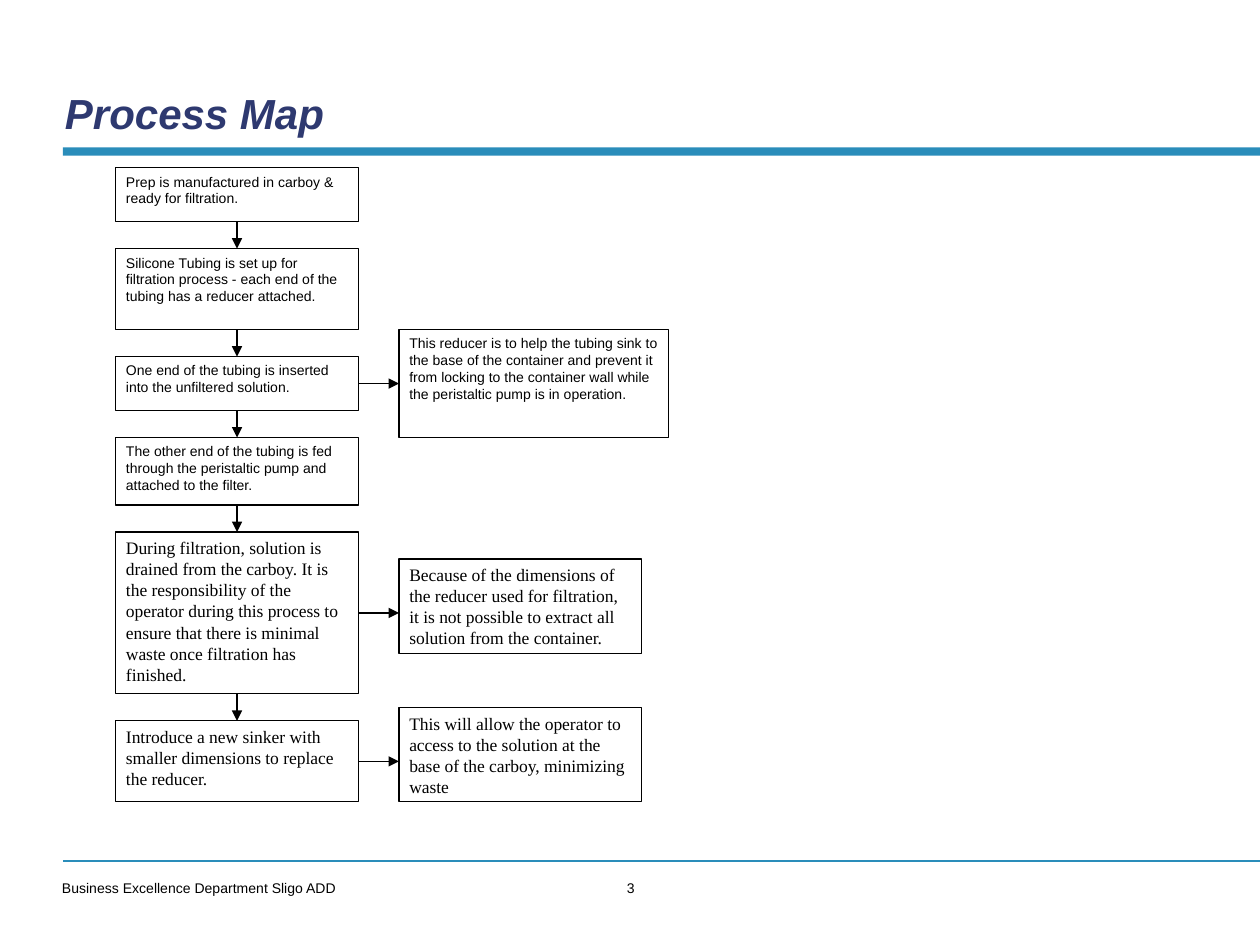
from lxml import etree
from pptx import Presentation
from pptx import util as u
from pptx.dml.color import RGBColor
from pptx.enum import shapes, text
from pptx.oxml.ns import qn

BLUE, NAVY, BLACK, WHITE = "2A8DBA", "2E3970", "000000", "FFFFFF"
UNIT = 0.272  # grid step of the flow chart, in cm
LEFT, TOP = 2.33, 3.38
STEP_WIDTH, STEP_GAP, SIDE_GAP = 18, 2, 3  # in grid steps


def write(shape, words, font, size, color=BLACK, inset=(0, 0)):
    """Put one run of text in a shape; inset is (horizontal, vertical) in cm."""
    frame = shape.text_frame
    frame.word_wrap = True
    frame.vertical_anchor = text.MSO_ANCHOR.TOP
    frame.margin_left = frame.margin_right = u.Cm(inset[0])
    frame.margin_top = frame.margin_bottom = u.Cm(inset[1])
    para = frame.paragraphs[0]
    para.alignment = text.PP_ALIGN.LEFT
    span = para.add_run()
    span.text = words
    span.font.name = font
    span.font.size = u.Pt(size)
    span.font.color.rgb = RGBColor.from_string(color)
    return para


def connect(x1, y1, x2, y2, color, width, arrow=True):
    line = page.shapes.add_connector(
        shapes.MSO_CONNECTOR.STRAIGHT, u.Cm(x1), u.Cm(y1), u.Cm(x2), u.Cm(y2))
    line.line.color.rgb = RGBColor.from_string(color)
    line.line.width = u.Pt(width)
    if arrow:
        etree.SubElement(line.line._get_or_add_ln(), qn("a:tailEnd"), type="triangle")
    etree.SubElement(line._element.spPr, qn("a:effectLst"))
    return line


deck = Presentation()
deck.slide_width, deck.slide_height = u.Cm(25.4), u.Cm(19.05)
page = deck.slides.add_slide(deck.slide_layouts[6])

# Title, rules and footer
bar = page.shapes.add_shape(
    shapes.MSO_SHAPE.RECTANGLE, u.Cm(1.27), u.Cm(2.97), u.Cm(24.13), u.Cm(0.17))
bar.shadow.inherit = False
bar.fill.solid()
bar.fill.fore_color.rgb = RGBColor.from_string(BLUE)
bar.line.fill.background()
connect(25.4, 17.35, 1.27, 17.35, BLUE, 1.25, arrow=False)

number = page.shapes.add_textbox(u.Cm(11.23), u.Cm(17.73), u.Cm(2.97), u.Cm(0.69))
write(number, "3", "Arial", 8).alignment = text.PP_ALIGN.CENTER
footer = page.shapes.add_textbox(u.Cm(1.25), u.Cm(17.73), u.Cm(8.89), u.Cm(0.81))
write(footer, "Business Excellence Department Sligo ADD", "Arial", 8)

title = page.shapes.add_textbox(u.Cm(1.06), u.Cm(1.6), u.Cm(22.86), u.Cm(1.32))
title_para = write(title, "Process Map", "Arial", 24, NAVY, (0.25, 0.13))
title.text_frame.vertical_anchor = text.MSO_ANCHOR.BOTTOM
title_para.runs[0].font.bold = title_para.runs[0].font.italic = True

# Each step: height, font, size, words, and its side note if any
# (top, width, height, words), all measured in grid steps
steps = [
    (4, "Arial", 8, "Prep is manufactured in carboy & ready for filtration.", None),
    (6, "Arial", 8, "Silicone Tubing is set up for filtration process - each end "
     "of the tubing has a reducer attached.", None),
    (4, "Arial", 8, "One end of the tubing is inserted into the unfiltered solution.",
     (12, 20, 8, "This reducer is to help the tubing sink to the base of the "
      "container and prevent it from locking to the container wall while the "
      "peristaltic pump is in operation.")),
    (5, "Arial", 8, "The other end of the tubing is fed through the peristaltic pump "
     "and attached to the filter.", None),
    (12, "Times New Roman", 10, "During filtration, solution is drained from the "
     "carboy. It is the responsibility of the operator during this process to ensure "
     "that there is minimal waste once filtration has finished.",
     (29, 18, 7, "Because of the dimensions of the reducer used for filtration, it is "
      "not possible to extract all solution from the container.")),
    (6, "Times New Roman", 10, "Introduce a new sinker with smaller dimensions to "
     "replace the reducer.",
     (40, 18, 7, "This will allow the operator to access to the solution at the base "
      "of the carboy, minimizing waste")),
]

row = 0
previous = None
note_column = STEP_WIDTH + SIDE_GAP
for height, font, size, words, note in steps:
    cells = [(0, row, STEP_WIDTH, height, words)]
    if note:
        cells.append((note_column, *note))
    boxes = []
    for column, top, width, tall, label in cells:
        box = page.shapes.add_shape(
            shapes.MSO_SHAPE.RECTANGLE, u.Cm(LEFT + column * UNIT),
            u.Cm(TOP + top * UNIT), u.Cm(width * UNIT), u.Cm(tall * UNIT))
        box.shadow.inherit = False
        box.fill.solid()
        box.fill.fore_color.rgb = RGBColor.from_string(WHITE)
        box.line.color.rgb = RGBColor.from_string(BLACK)
        box.line.width = u.Pt(0.75)
        write(box, label, font, size, inset=(0.21, 0.11))
        boxes.append(box)

    if previous:
        middle = LEFT + STEP_WIDTH / 2 * UNIT
        y = TOP + row * UNIT
        arrow = connect(middle, y - STEP_GAP * UNIT, middle, y, BLACK, 0.75)
        arrow.begin_connect(previous, 2)
        arrow.end_connect(boxes[0], 0)
    if note:
        center = row + height / 2
        y = TOP + center * UNIT
        arrow = connect(LEFT + STEP_WIDTH * UNIT, y, LEFT + note_column * UNIT, y,
                        BLACK, 0.75)
        arrow.begin_connect(boxes[0], 3)
        if note[0] + note[2] / 2 == center:
            arrow.end_connect(boxes[1], 1)
    previous = boxes[0]
    row += height + STEP_GAP

deck.save("out.pptx")
